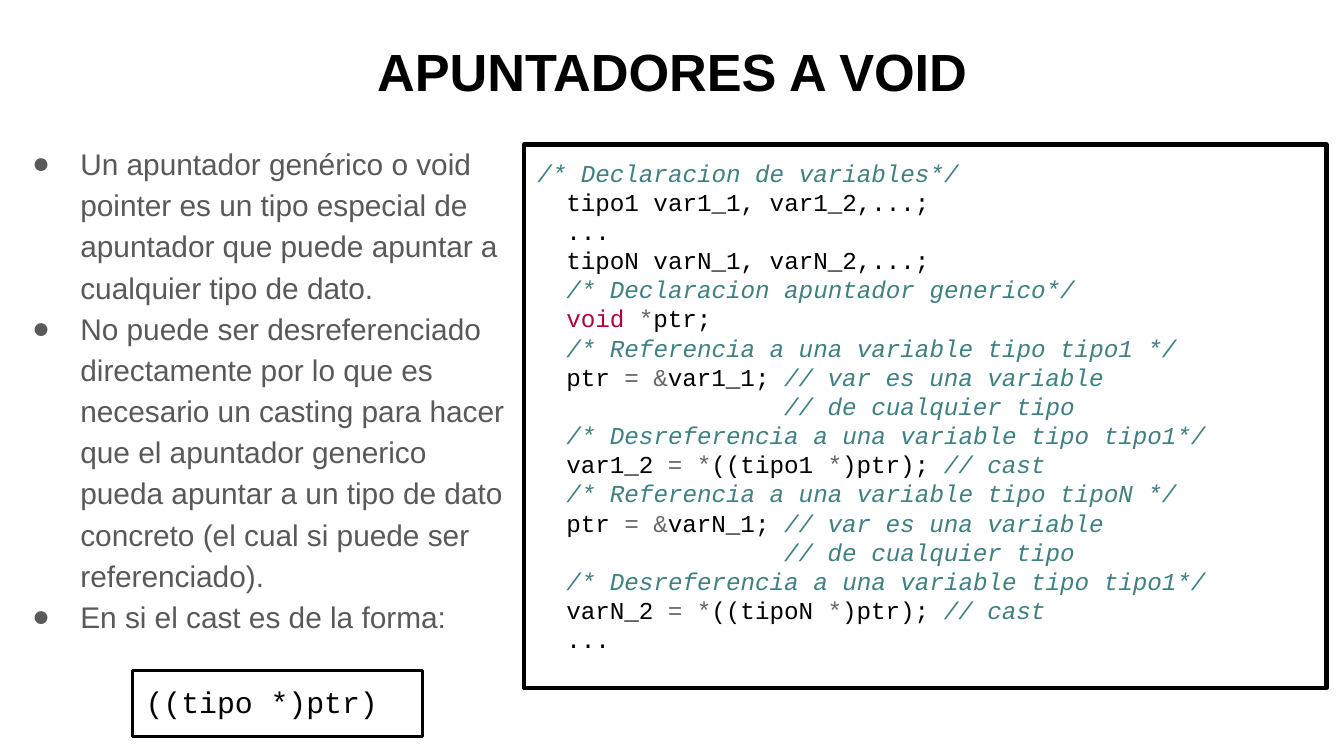
from itertools import groupby

from lxml.etree import SubElement
from pptx import Presentation
from pptx.dml.color import RGBColor
from pptx.enum.shapes import MSO_SHAPE as Shape
from pptx.enum.text import MSO_ANCHOR as Anchor, PP_ALIGN as Align
from pptx.oxml.ns import qn
from pptx.util import Pt

PX = 4572  # 200 px to the inch
BLACK, GREY, DARK = "000000", "666666", "595959"
TEAL, RED = "408080", "B00040"


def paint(color, code):
    color.rgb = RGBColor.from_string(code)


def add_box(box, line=0):
    """Add a rectangle, outlined if a line width is given; return its text frame."""
    shape = slide.shapes.add_shape(Shape.RECTANGLE, *(n * PX for n in box))
    shape.shadow.inherit = False
    shape.fill.background()
    if line:
        paint(shape.line.color, BLACK)
        shape.line.width = Pt(line)
    else:
        shape.line.fill.background()
    frame = shape.text_frame
    frame.word_wrap = True
    frame.vertical_anchor = Anchor.TOP
    frame.margin_left = frame.margin_right = 20 * PX
    frame.margin_top = frame.margin_bottom = 20 * PX
    return frame


deck = Presentation()
deck.slide_width, deck.slide_height = 2000 * PX, 1125 * PX
slide = deck.slides.add_slide(deck.slide_layouts[6])

# Title
para = add_box((68, 38, 1864, 126)).paragraphs[0]
para.text = "APUNTADORES A VOID"
para.alignment = Align.CENTER
para.font.name, para.font.size, para.font.bold = "Arial", Pt(28), True
paint(para.font.color, BLACK)

# Bullet list
points = [
    "Un apuntador genérico o void pointer es un tipo especial de apuntador "
    "que puede apuntar a cualquier tipo de dato.",
    "No puede ser desreferenciado directamente por lo que es necesario un "
    "casting para hacer que el apuntador generico pueda apuntar a un tipo de "
    "dato concreto (el cual si puede ser referenciado).",
    "En si el cast es de la forma:",
]
frame = add_box((0, 189, 780, 748))
frame.text = "\n".join(points)
for para in frame.paragraphs:
    para.alignment = Align.LEFT
    para.line_spacing = 1.15
    props = para._p.get_or_add_pPr()
    props.set("marL", str(100 * PX))
    props.set("indent", str(-72 * PX))
    SubElement(SubElement(props, qn("a:buClr")), qn("a:srgbClr"), val=DARK)
    SubElement(props, qn("a:buSzPts"), val="1600")
    SubElement(props, qn("a:buFont"), typeface="Arial")
    SubElement(props, qn("a:buChar"), char="●")
    para.font.name, para.font.size = "Arial", Pt(16)
    paint(para.font.color, DARK)

# Code listing: comments, operators and the keyword have their own colours
code = """\
/* Declaracion de variables*/
  tipo1 var1_1, var1_2,...;
  ...
  tipoN varN_1, varN_2,...;
  /* Declaracion apuntador generico*/
  void *ptr;
  /* Referencia a una variable tipo tipo1 */
  ptr = &var1_1; // var es una variable
                 // de cualquier tipo
  /* Desreferencia a una variable tipo tipo1*/
  var1_2 = *((tipo1 *)ptr); // cast
  /* Referencia a una variable tipo tipoN */
  ptr = &varN_1; // var es una variable
                 // de cualquier tipo
  /* Desreferencia a una variable tipo tipo1*/
  varN_2 = *((tipoN *)ptr); // cast
  ..."""
frame = add_box((780, 215, 1194, 809), 2.25)
for i, line in enumerate(code.split("\n")):
    para = frame.add_paragraph() if i else frame.paragraphs[0]
    para.alignment = Align.LEFT
    para.font.name, para.font.size = "Courier New", Pt(13)
    left, slash, rest = line.partition("/")
    parts = []
    for sign, chars in groupby(left, lambda c: c in "=&*"):
        for part in "".join(chars).partition("void"):
            tone = GREY if sign else RED if part == "void" else BLACK
            parts.append((part, tone))
    parts.append((slash + rest, TEAL))
    for part, tone in parts:
        if part:
            run = para.add_run()
            run.text = part
            run.font.italic = tone == TEAL
            paint(run.font.color, tone)

# Form of the cast
para = add_box((197, 998, 432, 98), 1.5).paragraphs[0]
para.text = "((tipo *)ptr)"
para.alignment = Align.LEFT
para.font.name, para.font.size = "Courier New", Pt(16)
paint(para.font.color, BLACK)

deck.save("out.pptx")
